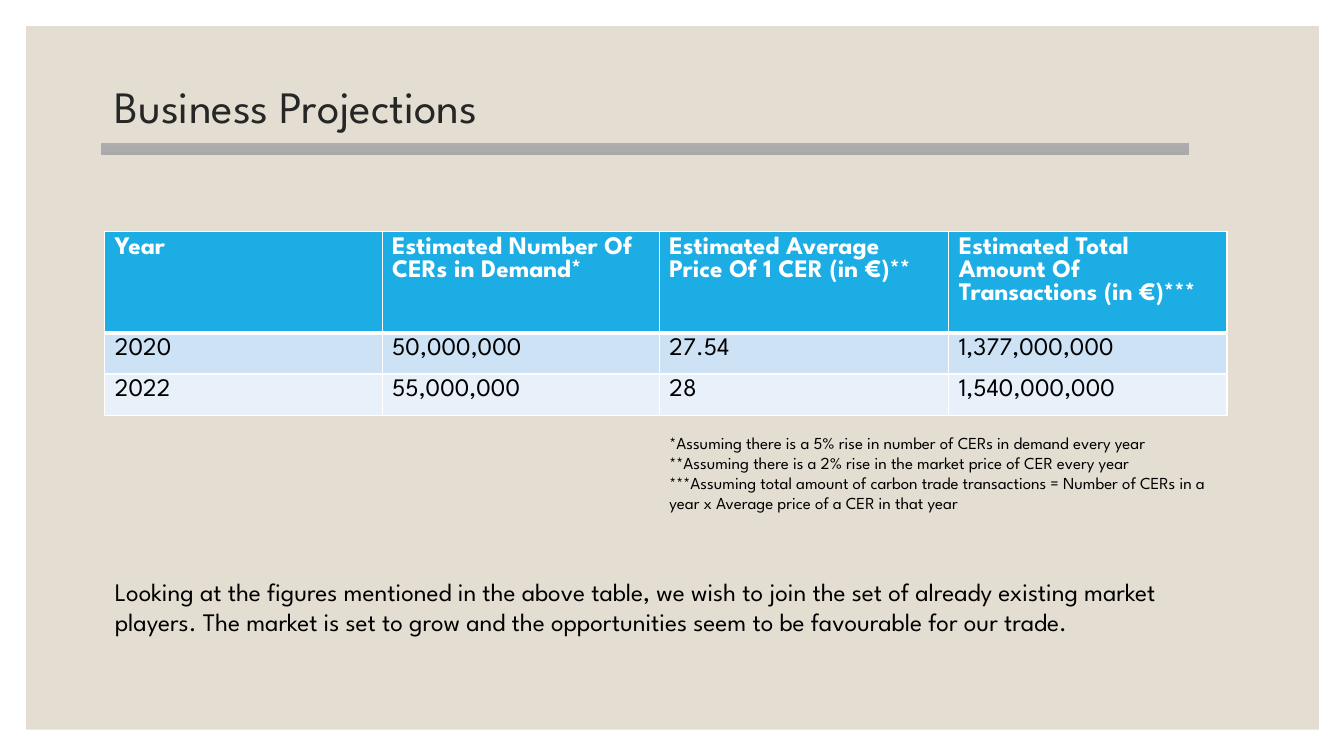
from lxml import etree
from pptx import Presentation
from pptx.dml.color import RGBColor
from pptx.enum.shapes import MSO_SHAPE
from pptx.enum.text import MSO_ANCHOR
from pptx.oxml.ns import qn
from pptx.util import Inches, Pt

RECTANGLE = MSO_SHAPE.RECTANGLE
MINUS = MSO_SHAPE.MATH_MINUS
TOP, MIDDLE = MSO_ANCHOR.TOP, MSO_ANCHOR.MIDDLE

COLORS = {
    "panel": "E3DED1",
    "title": "262626",
    "text": "000000",
    "white": "FFFFFF",
    "header": "1CADE4",
    "band_dark": "CDE3F5",
    "band_light": "E8F1FA",
    "rule_top": "B4B4B4",
    "rule_bottom": "A2A2A2",
}


class ProjectionSlide:
    font = "League Spartan"

    def __init__(self, presentation):
        self.slide = presentation.slides.add_slide(presentation.slide_layouts[6])

    def color(self, key):
        return RGBColor.from_string(COLORS[key])

    def add_run(self, paragraph, text, size, color="text", bold=False):
        run = paragraph.add_run()
        run.text = text
        run.font.name = self.font
        run.font.size = Pt(size)
        run.font.bold = bold
        run.font.color.rgb = self.color(color)

    def shape(self, kind, box):
        shape = self.slide.shapes.add_shape(kind, *map(Inches, box))
        shape.shadow.inherit = False
        shape.line.fill.background()
        return shape

    def panel(self, box):
        fill = self.shape(RECTANGLE, box).fill
        fill.solid()
        fill.fore_color.rgb = self.color("panel")

    def rule(self, box):
        fill = self.shape(MINUS, box).fill
        fill.gradient()
        fill.gradient_angle = 270
        for stop, key in zip(fill.gradient_stops, ("rule_top", "rule_bottom")):
            stop.color.rgb = self.color(key)

    def text(self, box, lines, size, color="text", anchor=TOP, spacing=None):
        frame = self.slide.shapes.add_textbox(*map(Inches, box)).text_frame
        frame.word_wrap = True
        frame.vertical_anchor = anchor
        for index, line in enumerate(lines):
            paragraph = frame.add_paragraph() if index else frame.paragraphs[0]
            paragraph.line_spacing = spacing
            self.add_run(paragraph, line, size, color)

    def borders(self, cell, widths):
        properties = cell._tc.get_or_add_tcPr()
        for index, (side, width) in enumerate(widths.items()):
            line = etree.Element(qn(f"a:ln{side}"), w=str(Pt(width)))
            fill = etree.SubElement(line, qn("a:solidFill"))
            etree.SubElement(fill, qn("a:srgbClr"), val=COLORS["white"])
            properties.insert(index, line)

    def table(self, box, rows, widths, heights, fills):
        frame = self.slide.shapes.add_table(len(rows), len(widths), *map(Inches, box))
        table = frame.table
        for column, width in zip(table.columns, widths):
            column.width = Inches(width)
        for r, (values, height, fill) in enumerate(zip(rows, heights, fills)):
            table.rows[r].height = Inches(height)
            is_header = r == 0
            for c, value in enumerate(values):
                cell = table.cell(r, c)
                cell.fill.solid()
                cell.fill.fore_color.rgb = self.color(fill)
                self.borders(cell, {"L": 1, "R": 1, "T": 3 if r == 1 else 1,
                                    "B": 3 if is_header else 1})
                self.add_run(cell.text_frame.paragraphs[0], value, 18,
                             "white" if is_header else "text", is_header)


def main():
    presentation = Presentation()
    presentation.slide_width = Inches(13.33)
    presentation.slide_height = Inches(7.5)
    page = ProjectionSlide(presentation)

    page.panel((0.26, 0.26, 12.82, 6.98))
    page.text((1.04, 0.33, 11, 1.5), ["Business Projections"], 32, "title", MIDDLE, 0.9)
    projections = [
        ("Year", "Estimated Number Of CERs in Demand*",
         "Estimated Average Price Of 1 CER (in €)**",
         "Estimated Total Amount Of Transactions (in €)***"),
        ("2020", "50,000,000", "27.54", "1,377,000,000"),
        ("2022", "55,000,000", "28", "1,540,000,000"),
    ]
    page.table((1.04, 2.3, 11.13, 1.61), projections, (2.75, 2.75, 2.87, 2.76),
               (0.79, 0.41, 0.41), ("header", "band_dark", "band_light"))
    assumptions = [
        "*Assuming there is a 5% rise in number of CERs in demand every year",
        "**Assuming there is a 2% rise in the market price of CER every year",
        "***Assuming total amount of carbon trade transactions = Number of CERs in a "
        "year x Average price of a CER in that year",
    ]
    page.text((6.54, 4.24, 5.77, 0.91), assumptions, 12)
    page.rule((-0.95, 1.24, 14.69, 0.48))
    conclusion = (
        "Looking at the figures mentioned in the above table, we wish to join the set of "
        "already existing market players. The market is set to grow and the opportunities "
        "seem to be favourable for our trade."
    )
    page.text((1.04, 5.67, 11.13, 1.31), [conclusion], 18)
    presentation.save("out.pptx")


if __name__ == "__main__":
    main()
